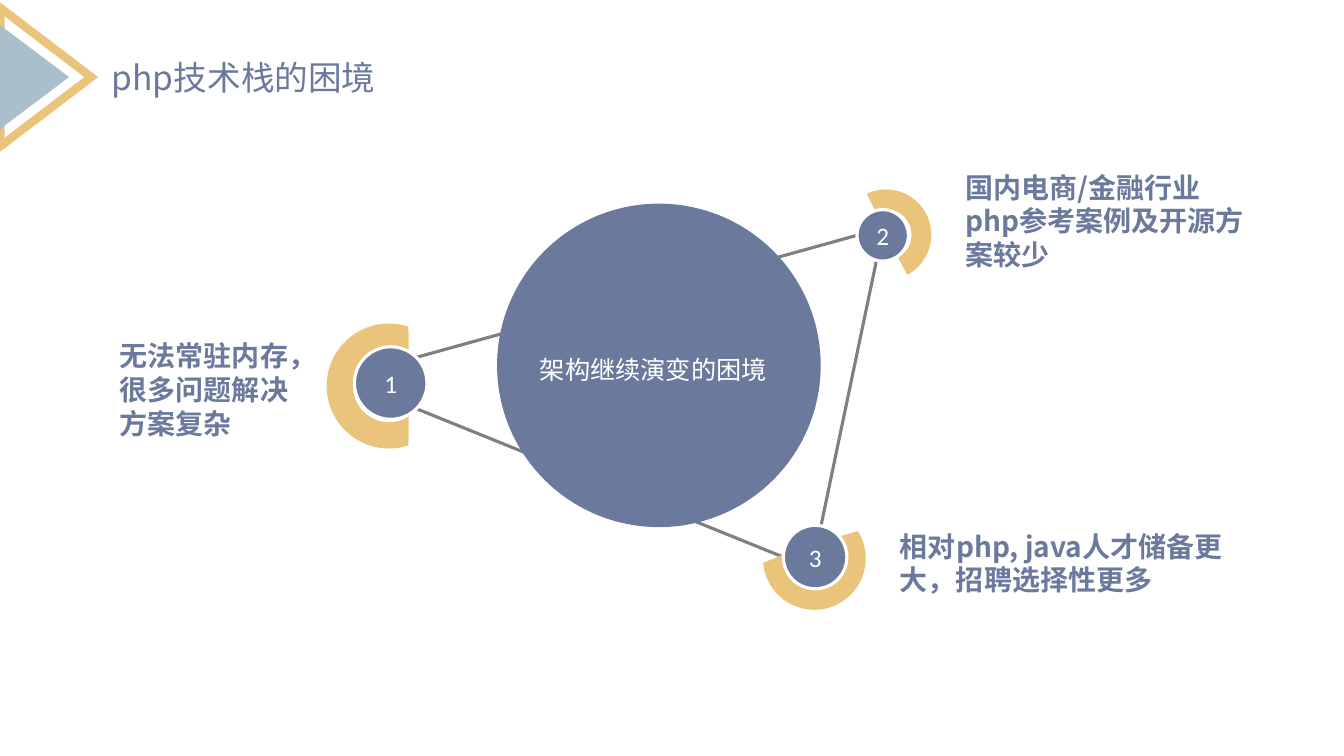
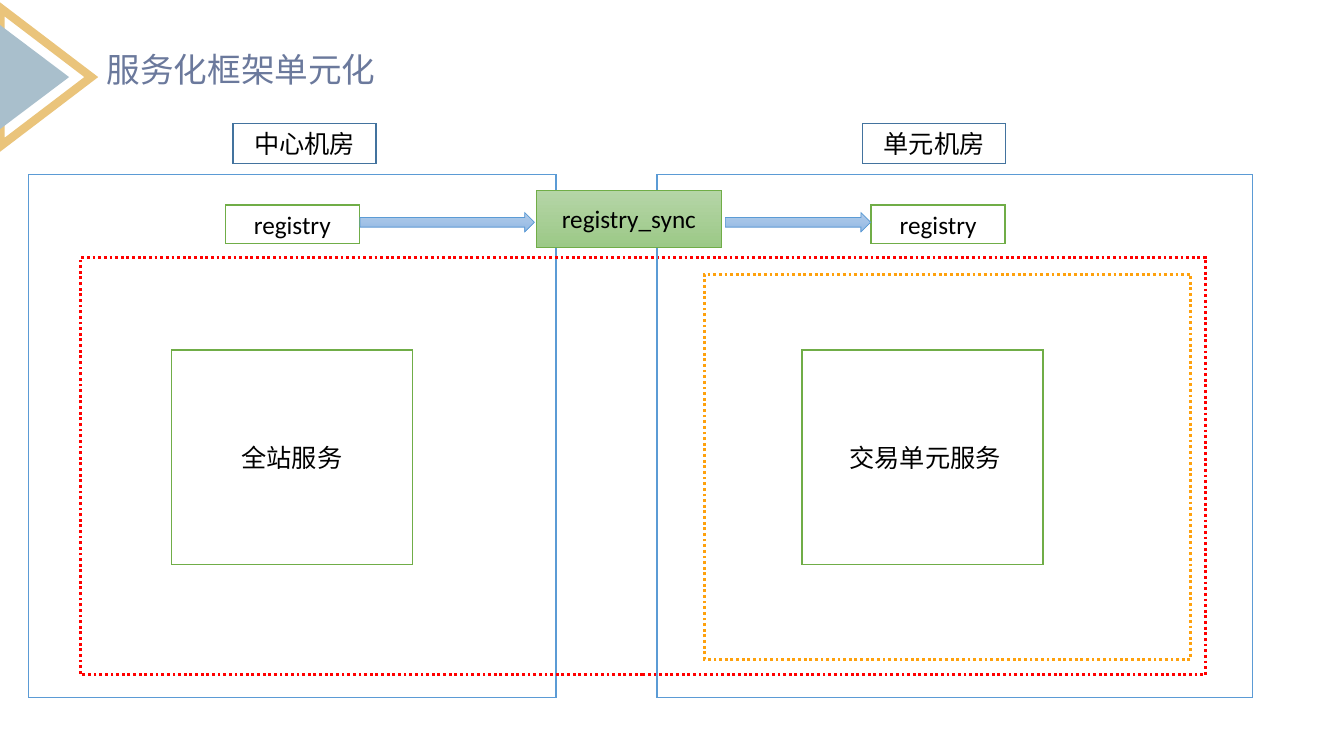
from dataclasses import dataclass
from math import cos, radians, sin, tan
from typing import NamedTuple, Optional

from lxml import etree
from pptx import Presentation
from pptx.dml.color import RGBColor
from pptx.enum.dml import MSO_LINE_DASH_STYLE as Dash
from pptx.enum.shapes import MSO_CONNECTOR as Connector, MSO_SHAPE as Preset
from pptx.enum.text import MSO_ANCHOR as Anchor, MSO_AUTO_SIZE as AutoSize, PP_ALIGN as Align
from pptx.oxml.ns import qn
from pptx.util import Inches, Pt

# Grid of square cells, 75 rows to the slide height; all lengths are in cells
SLIDE_WIDTH, SLIDE_HEIGHT = Inches(13.33), Inches(7.5)
CELL = SLIDE_HEIGHT / 75

WHITE = RGBColor(0xFF, 0xFF, 0xFF)
BLACK = RGBColor(0x00, 0x00, 0x00)
GRAY = RGBColor(0x80, 0x80, 0x80)
SLATE = RGBColor(0x6B, 0x79, 0x9C)
GOLD = RGBColor(0xEA, 0xC4, 0x7B)
MIST = RGBColor(0xA9, 0xBF, 0xCC)
BLUE = RGBColor(0x5B, 0x9B, 0xD5)
DARK_BLUE = RGBColor(0x43, 0x73, 0x9E)
GREEN = RGBColor(0x70, 0xAD, 0x47)
RED = RGBColor(0xFF, 0x00, 0x00)
ORANGE = RGBColor(0xFE, 0xA1, 0x0D)
GREEN_FADE = (RGBColor(0xB5, 0xD5, 0xA7), RGBColor(0x9C, 0xC9, 0x87))
BLUE_FADE = (RGBColor(0xB1, 0xCB, 0xE9), RGBColor(0x93, 0xB9, 0xE4))

CJK_FONT, LATIN_FONT = "Noto Sans CJK SC", "Calibri"


class Point(NamedTuple):
    x: float
    y: float


class Frame(NamedTuple):
    left: float
    top: float
    width: float
    height: float


@dataclass(frozen=True)
class TextStyle:
    size: float
    color: RGBColor
    font: str = CJK_FONT
    bold: bool = False
    align: Align = Align.LEFT
    spacing: Optional[float] = None


@dataclass(frozen=True)
class Look:
    fill: Optional[RGBColor] = None
    line: Optional[RGBColor] = None
    width: float = 1
    dash: Optional[Dash] = None
    fade: Optional[tuple[RGBColor, RGBColor]] = None


@dataclass(frozen=True)
class Hub:
    """A numbered badge, the open ring around it and its label."""
    number: str
    center: Point
    radius: float
    ring_center: Point
    ring_radii: tuple[float, float]
    outer_sweep: tuple[float, float]
    inner_sweep: tuple[float, float]
    label: str
    label_frame: Frame


@dataclass(frozen=True)
class Block:
    frame: Frame
    look: Look
    text: str = ""
    preset: Preset = Preset.RECTANGLE
    margin_left: float = 1


TITLE = TextStyle(24, SLATE)
LABEL = TextStyle(20, SLATE, bold=True)
CORE_TEXT = TextStyle(18, WHITE, align=Align.CENTER, spacing=1.5)
BADGE_TEXT = TextStyle(18, WHITE, LATIN_FONT, align=Align.CENTER)
BLOCK_TEXT = TextStyle(18, BLACK, LATIN_FONT, align=Align.CENTER)


def cells(*values: float) -> list[int]:
    return [round(value * CELL) for value in values]


def on_circle(center: Point, radius: float, angle: float) -> Point:
    """Point at a clockwise angle in degrees, starting from the right."""
    turn = radians(angle)
    return Point(center.x + radius * cos(turn), center.y + radius * sin(turn))


def circle_frame(center: Point, radius: float) -> Frame:
    return Frame(center.x - radius, center.y - radius, 2 * radius, 2 * radius)


def arc_points(center: Point, radius: float, sweep: tuple[float, float]) -> list[Point]:
    """Start of an arc, then two handles and an end for each quadrant it crosses."""
    first, last = sweep
    stops = [first, *(turn for turn in range(-90, 451, 90) if first < turn < last), last]
    points = [on_circle(center, radius, first)]
    for begin, end in zip(stops, stops[1:]):
        reach = 4 / 3 * tan(radians(end - begin) / 4) * radius
        start, finish = (on_circle(center, radius, angle) for angle in (begin, end))
        points += [on_circle(start, reach, begin + 90), on_circle(finish, reach, end - 90), finish]
    return points


# Drawing helpers
def write(shape, text: str, style: TextStyle) -> None:
    shape.text_frame.text = text
    shape.text_frame.word_wrap = True
    paragraph = shape.text_frame.paragraphs[0]
    paragraph.alignment = style.align
    paragraph.line_spacing = style.spacing
    font = paragraph.runs[0].font
    font.size, font.bold, font.name = Pt(style.size), style.bold, style.font
    font.color.rgb = style.color
    east_asian = etree.SubElement(font._element, qn("a:ea"))
    east_asian.set("typeface", CJK_FONT)


def apply_look(shape, look: Look) -> None:
    shape.shadow.inherit = False
    if look.fade:
        shape.fill.gradient()
        shape.fill.gradient_angle = 270
        for stop, color in zip(shape.fill.gradient_stops, look.fade):
            stop.color.rgb = color
    elif look.fill is not None:
        shape.fill.solid()
        shape.fill.fore_color.rgb = look.fill
    else:
        shape.fill.background()
    if look.line is None:
        shape.line.fill.background()
        return
    shape.line.color.rgb = look.line
    shape.line.width = Pt(look.width)
    if look.dash is not None:
        shape.line.dash_style = look.dash
    miter = etree.SubElement(shape.line._get_or_add_ln(), qn("a:miter"))
    miter.set("lim", "800000")


def add_preset(slide, preset: Preset, frame: Frame, look: Look):
    shape = slide.shapes.add_shape(preset, *cells(*frame))
    apply_look(shape, look)
    return shape


def add_text(slide, text: str, frame: Frame, style: TextStyle) -> None:
    box = slide.shapes.add_textbox(*cells(*frame))
    write(box, text, style)
    box.text_frame.auto_size = AutoSize.SHAPE_TO_FIT_TEXT


def add_line(slide, start: Point, end: Point) -> None:
    line = slide.shapes.add_connector(Connector.STRAIGHT, *cells(*start, *end))
    line.line.color.rgb = GRAY
    line.line.width = Pt(2.25)
    etree.SubElement(line._element.spPr, qn("a:effectLst"))


def add_ring(slide, hub: Hub) -> None:
    outer = arc_points(hub.ring_center, hub.ring_radii[0], hub.outer_sweep)
    inner = arc_points(hub.ring_center, hub.ring_radii[1], hub.inner_sweep)[::-1]
    points = [tuple(cells(*point)) for point in outer + inner]
    builder = slide.shapes.build_freeform(*points[0])
    builder.add_line_segments(points[1:], close=True)
    ring = builder.convert_to_shape()
    # Turn each run of handle, handle, end into one curve
    segments = list(ring._element.iter(qn("a:lnTo")))
    joint = len(outer) - 1
    curved = segments[:joint] + segments[joint + 1:]
    for handle, second_handle, end in zip(curved[::3], curved[1::3], curved[2::3]):
        handle.addprevious(curve := etree.Element(qn("a:cubicBezTo")))
        for segment in (handle, second_handle, end):
            curve.append(segment[0])
            segment.getparent().remove(segment)
    apply_look(ring, Look(GOLD))


def add_header(slide, title: str, frame: Frame) -> None:
    marks = ((Frame(-2.3, 3.15, 13.7, 9), Look(line=GOLD, width=6)),
             (Frame(-1.8, 4.2, 10.4, 6.9), Look(MIST)))
    for mark_frame, look in marks:
        add_preset(slide, Preset.ISOSCELES_TRIANGLE, mark_frame, look).rotation = 90
    add_text(slide, title, frame, TITLE)


# Slide 1: three hubs around a core
HUBS = (
    Hub("1", Point(38.75, 38), 3.6, Point(38.6, 38.3), (6.2, 3.6), (72, 288), (57.5, 302.5),
        "无法常驻内存，很多问题解决方案复杂", Frame(10.9, 33.13, 19.7, 11.1)),
    Hub("2", Point(87.55, 23.35), 2.55, Point(87.87, 23.3), (4.5, 2.55), (245, 422), (246, 422),
        "国内电商/金融行业 php参考案例及开源方案较少", Frame(94.77, 16.4, 30.1, 11.1)),
    Hub("3", Point(80.85, 55.27), 3.15, Point(80.77, 55.4), (5.1, 3.1), (-32, 175), (-43, 187),
        "相对php, java人才储备更大，招聘选择性更多", Frame(88.27, 52, 34.3, 7.7)),
)


def build_dilemma(slide) -> None:
    first, second, third = HUBS
    add_line(slide, on_circle(first.center, first.radius, 45),
             on_circle(third.center, third.radius, 180))
    add_line(slide, Point(87, 25.5), Point(81.4, 52.3))
    add_line(slide, on_circle(first.center, first.radius, -45),
             on_circle(second.center, second.radius, 180))
    add_preset(slide, Preset.OVAL, Frame(49.3, 20.2, 32.1, 32.1), Look(SLATE))
    for hub in HUBS:
        add_ring(slide, hub)
        badge = add_preset(slide, Preset.OVAL, circle_frame(hub.center, hub.radius),
                           Look(SLATE, WHITE, 2.25))
        write(badge, hub.number, BADGE_TEXT)
        add_text(slide, hub.label, hub.label_frame, LABEL)
    add_text(slide, "架构继续演变的困境", Frame(52.05, 33.15, 25.5, 5.5), CORE_TEXT)
    add_header(slide, "php技术栈的困境", Frame(10.1, 5.15, 29.2, 5))


# Slide 2: two server rooms kept in step
ROOM = Look(line=BLUE)
ROOM_NAME = Look(line=DARK_BLUE)
SERVICE = Look(WHITE, GREEN)
ARROW = Look(line=BLUE, width=0.5, fade=BLUE_FADE)
BLOCKS = (
    Block(Frame(2.85, 17.3, 52.3, 51.9), Look(WHITE, BLUE)),
    Block(Frame(23.1, 12.25, 14.2, 4), ROOM_NAME, "中心机房"),
    Block(Frame(85.55, 12.25, 14.2, 4), ROOM_NAME, "单元机房"),
    Block(Frame(17, 34.73, 23.9, 21.3), SERVICE, "全站服务"),
    Block(Frame(8, 25.55, 111.6, 41.4), Look(line=RED, width=2, dash=Dash.ROUND_DOT)),
    Block(Frame(69.87, 27.2, 48.2, 38.2), Look(line=ORANGE, width=2, dash=Dash.ROUND_DOT)),
    Block(Frame(79.55, 34.73, 23.9, 21.3), SERVICE, "交易单元服务", margin_left=1.5),
    Block(Frame(65.15, 17.3, 59.1, 51.9), ROOM),
    Block(Frame(22.35, 20.35, 13.3, 3.8), SERVICE, "registry"),
    Block(Frame(86.4, 20.35, 13.3, 3.8), SERVICE, "registry"),
    Block(Frame(53.2, 18.9, 18.35, 5.6), Look(line=GREEN, width=0.5, fade=GREEN_FADE),
          "registry_sync"),
    Block(Frame(35.7, 21.1, 17.3, 1.9), ARROW, preset=Preset.RIGHT_ARROW),
    Block(Frame(71.95, 21.1, 14.4, 1.9), ARROW, preset=Preset.RIGHT_ARROW),
)


def build_units(slide) -> None:
    add_header(slide, "服务化框架单元化", Frame(9.6, 4.4, 29.2, 5))
    for block in BLOCKS:
        shape = add_preset(slide, block.preset, block.frame, block.look)
        if block.text:
            write(shape, block.text, BLOCK_TEXT)
            shape.text_frame.vertical_anchor = Anchor.MIDDLE
            shape.text_frame.margin_left = cells(block.margin_left)[0]


def main() -> None:
    presentation = Presentation()
    presentation.slide_width, presentation.slide_height = SLIDE_WIDTH, SLIDE_HEIGHT
    blank = presentation.slide_layouts[6]
    for build in (build_dilemma, build_units):
        build(presentation.slides.add_slide(blank))
    presentation.save("out.pptx")


if __name__ == "__main__":
    main()
